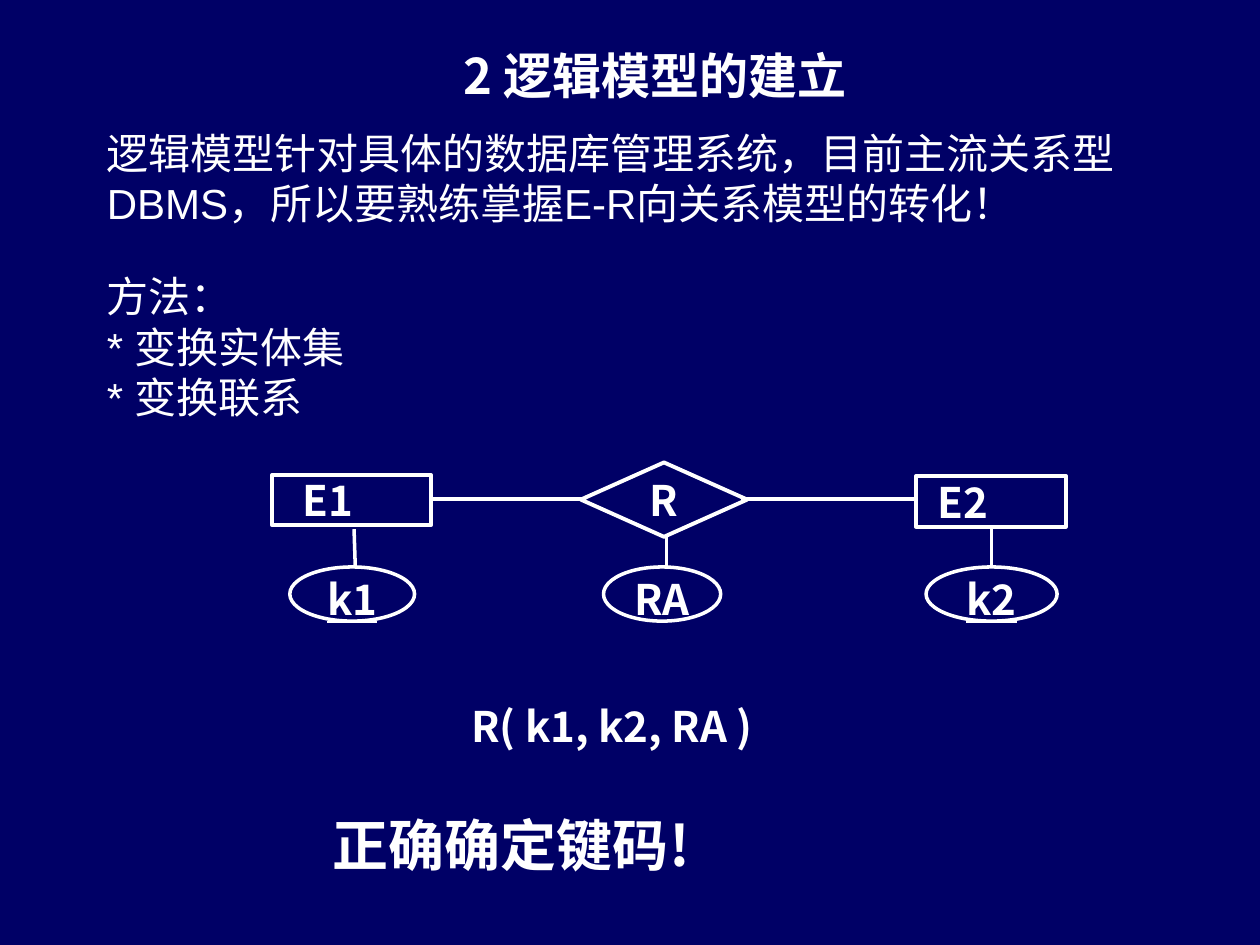
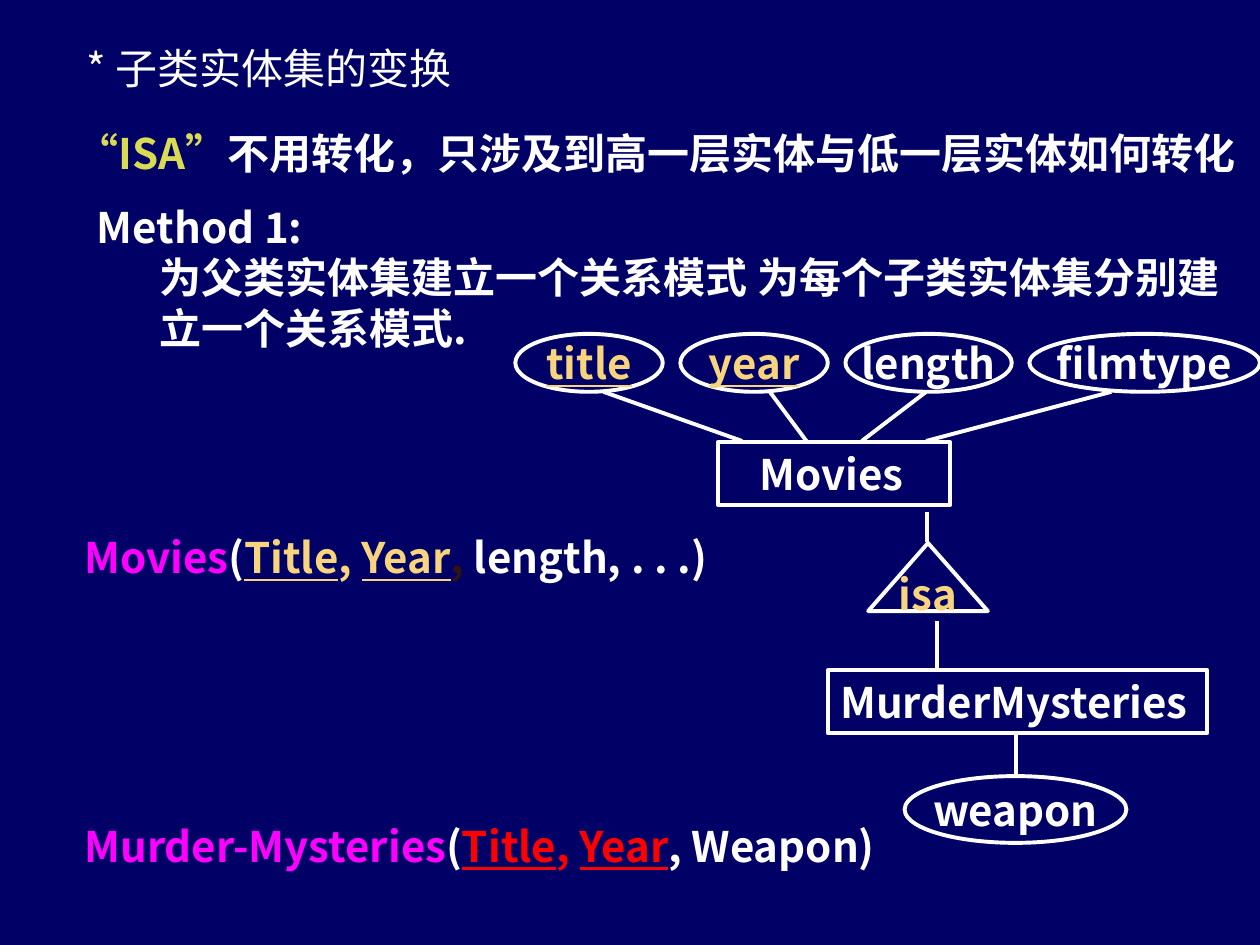
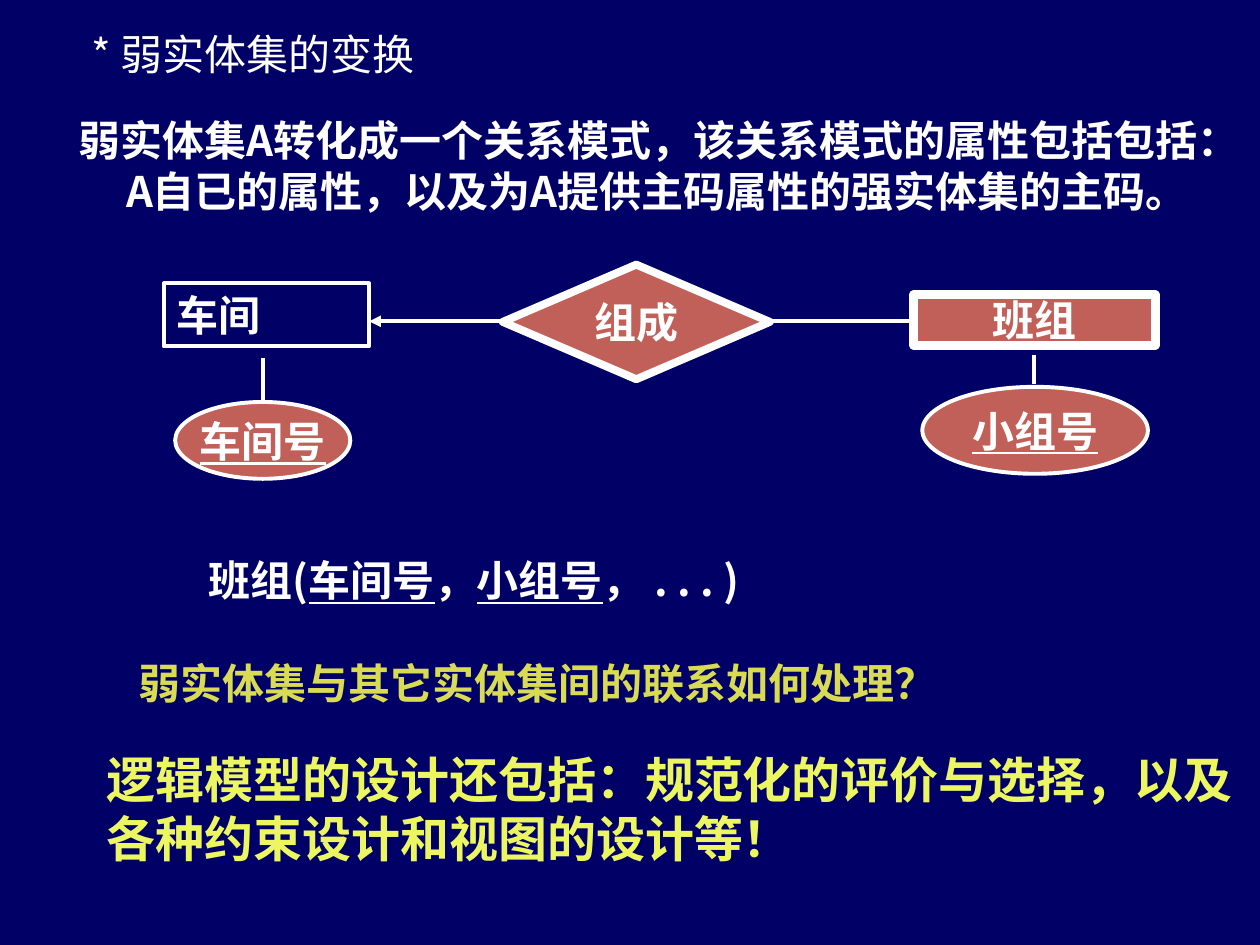
from lxml import etree
from pptx import Presentation
from pptx.dml.color import RGBColor
from pptx.enum.shapes import MSO_CONNECTOR, MSO_SHAPE
from pptx.enum.text import MSO_ANCHOR, PP_ALIGN
from pptx.oxml.ns import qn
from pptx.util import Inches, Pt

NAVY = RGBColor(0x00, 0x00, 0x66)
WHITE = RGBColor(0xFF, 0xFF, 0xFF)
OLIVE = RGBColor(0xD9, 0xDC, 0x52)
LEMON = RGBColor(0xEB, 0xF6, 0x60)
SAND = RGBColor(0xF7, 0xD4, 0x7D)
MAGENTA = RGBColor(0xFF, 0x00, 0xFF)
RED = RGBColor(0xFF, 0x00, 0x00)
BROWN = RGBColor(0x2F, 0x13, 0x11)
BRICK = RGBColor(0xC1, 0x60, 0x59)

RECT, OVAL = MSO_SHAPE.RECTANGLE, MSO_SHAPE.OVAL
DIAMOND, DECISION = MSO_SHAPE.DIAMOND, MSO_SHAPE.FLOWCHART_DECISION
TRIANGLE = MSO_SHAPE.ISOSCELES_TRIANGLE
STRAIGHT = MSO_CONNECTOR.STRAIGHT
LEFT, CENTER = PP_ALIGN.LEFT, PP_ALIGN.CENTER
TOP, MIDDLE = MSO_ANCHOR.TOP, MSO_ANCHOR.MIDDLE

CJK_FONT = "Noto Sans CJK SC"
LATIN_FONT = "Arial"
BODY_SIZE, LINE_WIDTH = 24, 2.25
PADDING = (0.1, 0.05)
FLUSH = (0, 0)
HANGING = (0.38, -0.38)

PLAIN = dict(bold=False, font=LATIN_FONT)
HEADING = dict(bold=False)
KEY = dict(underline=True)
SAND_KEY = dict(color=SAND, underline=True)
RED_KEY = dict(color=RED, underline=True)
ATTRIBUTE = dict(width=2, spacing=1.2)

# texts: (box, paragraphs, options); a paragraph is a string or a list of (text, style) runs
# nodes: (shape, label, box, options); left is the label's indent, without it the label is centred
# links: (start, end, options)
SLIDES = [
    dict(
        texts=[
            ((1.93, 0.36, 6.54, 0.47), ["2 逻辑模型的建立"],
             dict(size=28, align=CENTER, anchor=MIDDLE, inset=FLUSH)),
            ((0.75, 0.96, 9.1, 0.9),
             ["逻辑模型针对具体的数据库管理系统，目前主流关系型DBMS，所以要熟练掌握E-R向关系模型的转化！"],
             dict(style=PLAIN)),
            ((0.75, 2.1, 9.1, 1.3), ["方法：", "* 变换实体集", "* 变换联系"], dict(style=PLAIN)),
            ((3.74, 5.48, 3.96, 0.48), ["R( k1, k2, RA )"], dict(inset=FLUSH, spacing=1.2)),
            ((2.64, 6.43, 5.67, 0.53), ["正确确定键码!"], dict(size=32, inset=FLUSH)),
        ],
        nodes=[
            (RECT, "E1", (2.16, 3.77, 1.26, 0.4), dict(left=0.24)),
            (RECT, "E2", (7.27, 3.78, 1.19, 0.4), dict(left=0.17)),
            (DIAMOND, "R", (4.61, 3.67, 1.32, 0.59), {}),
            (OVAL, "k1", (2.3, 4.5, 0.99, 0.43), dict(style=KEY, **ATTRIBUTE)),
            (OVAL, "k2", (7.35, 4.5, 1.04, 0.43), dict(style=KEY, **ATTRIBUTE)),
            (OVAL, "RA", (4.79, 4.5, 0.93, 0.43), ATTRIBUTE),
        ],
        links=[
            ((5.88, 3.96), (7.27, 3.96), {}),
            ((4.62, 3.96), (3.42, 3.96), {}),
            ((5.29, 4.25), (5.29, 4.5), dict(width=2)),
            ((2.82, 4.5), (2.81, 4.2), dict(width=2)),
            ((7.87, 4.19), (7.87, 4.5), dict(width=2)),
        ],
    ),
    dict(
        texts=[
            ((0.59, 0.29, 5, 0.5), ["* 子类实体集的变换"], dict(style=HEADING)),
            ((0.46, 0.96, 9.5, 0.59),
             [[("“ISA”", dict(color=OLIVE)),
               ("不用转化，只涉及到高一层实体与低一层实体如何转化", {})]],
             dict(align=CENTER, indents=[HANGING])),
            ((0.67, 1.55, 9.25, 1.3),
             ["Method 1:", "为父类实体集建立一个关系模式 为每个子类实体集分别建立一个关系模式."],
             dict(indents=[(0, 0), (0.5, 0)])),
            ((0.67, 4.22, 6.38, 0.4),
             [[("Movies", dict(color=MAGENTA)), ("(", {}), ("Title", SAND_KEY),
               (", ", dict(color=SAND)), ("Year", SAND_KEY), (", ", dict(color=BROWN)),
               ("length, . . .)", {})]],
             dict(inset=FLUSH)),
            ((0.67, 6.51, 6.38, 0.4),
             [[("Murder-Mysteries", dict(color=MAGENTA)), ("(", {}), ("Title", RED_KEY),
               (", ", dict(color=RED)), ("Year", RED_KEY), (", Weapon)", {})]],
             dict(inset=FLUSH)),
        ],
        nodes=[
            (RECT, "Movies", (5.7, 3.51, 1.84, 0.5), dict(left=0.33)),
            (OVAL, "title", (4.09, 2.65, 1.17, 0.46), dict(style=SAND_KEY)),
            (OVAL, "year", (5.4, 2.65, 1.17, 0.46), dict(style=SAND_KEY)),
            (OVAL, "length", (6.71, 2.65, 1.32, 0.46), {}),
            (OVAL, "filmtype", (8.17, 2.65, 1.83, 0.46), {}),
            (RECT, "MurderMysteries", (6.57, 5.32, 3.01, 0.5), dict(left=0.1)),
            (OVAL, "weapon", (7.18, 6.16, 1.76, 0.53), {}),
            (TRIANGLE, "isa", (6.89, 4.31, 0.95, 0.54),
             dict(style=dict(color=SAND), inset=PADDING)),
        ],
        links=[
            ((6.11, 3.11), (6.4, 3.5), {}),
            ((7.35, 3.11), (6.84, 3.5), {}),
            ((4.79, 3.11), (5.89, 3.5), {}),
            ((8.82, 3.11), (7.35, 3.5), {}),
            ((8.06, 5.82), (8.06, 6.15), {}),
            ((7.44, 4.93), (7.44, 5.32), {}),
            ((7.36, 4.06), (7.36, 4.3), {}),
        ],
    ),
    dict(
        texts=[
            ((0.63, 0.18, 3.11, 0.5), ["* 弱实体集的变换"], dict(style=HEADING, wrap=False)),
            ((0.62, 0.91, 9.38, 0.8),
             ["弱实体集A转化成一个关系模式，该关系模式的属性包括包括："
              "A自已的属性，以及为A提供主码属性的强实体集的主码。"],
             dict(inset=FLUSH, indents=[HANGING])),
            ((1.44, 4.35, 4.65, 0.5),
             [[("班组(", {}), ("车间号", KEY), ("，", {}), ("小组号", KEY), ("， . . . )", {})]],
             dict(align=CENTER, wrap=False)),
            ((1, 5.17, 6.53, 0.5), ["弱实体集与其它实体集间的联系如何处理？"],
             dict(style=dict(color=OLIVE), align=CENTER, wrap=False)),
            ((0.75, 5.9, 9.25, 1.04),
             ["逻辑模型的设计还包括：规范化的评价与选择，以及各种约束设计和视图的设计等！"],
             dict(style=dict(color=LEMON), size=28)),
        ],
        nodes=[
            (RECT, "车间", (1.3, 2.25, 1.63, 0.5), dict(left=0.1)),
            (OVAL, "车间号", (1.39, 3.19, 1.39, 0.61), dict(fill=BRICK, style=KEY)),
            (OVAL, "小组号", (7.32, 3.07, 1.79, 0.69), dict(fill=BRICK, style=KEY)),
            (DECISION, "组成", (3.99, 2.1, 2.12, 0.91), dict(fill=BRICK, width=4.5)),
            (RECT, "班组", (7.25, 2.34, 1.92, 0.4), dict(fill=BRICK, width=5)),
        ],
        links=[
            ((2.09, 2.84), (2.09, 3.19), {}),
            ((8.21, 2.82), (8.21, 3.05), {}),
            ((4.07, 2.55), (2.93, 2.55), dict(arrow=True)),
            ((6.03, 2.55), (7.25, 2.55), {}),
        ],
    ),
]


def style_run(run, size, color=WHITE, bold=True, underline=False, font=CJK_FONT):
    run.font.size = Pt(size)
    run.font.bold = bold
    run.font.underline = underline
    run.font.color.rgb = color
    run.font.name = font
    east_asian = etree.Element(qn("a:ea"), typeface=CJK_FONT)
    run.font._element.find(qn("a:latin")).addnext(east_asian)


def write(frame, paragraphs, style=None, size=BODY_SIZE, align=LEFT, anchor=TOP,
          inset=PADDING, wrap=True, spacing=None, indents=()):
    """Fill a text frame; style applies to every paragraph given as a string."""
    frame.word_wrap = wrap
    frame.vertical_anchor = anchor
    frame.margin_left = frame.margin_right = Inches(inset[0])
    frame.margin_top = frame.margin_bottom = Inches(inset[1])
    for number, content in enumerate(paragraphs):
        paragraph = frame.paragraphs[0] if number == 0 else frame.add_paragraph()
        paragraph.alignment = align
        if spacing:
            paragraph.line_spacing = spacing
        if indents:
            margin, first_line = indents[number]
            properties = paragraph._p.get_or_add_pPr()
            properties.set("marL", str(Inches(margin)))
            properties.set("indent", str(Inches(first_line)))
        runs = [(content, style or {})] if isinstance(content, str) else content
        for text, run_style in runs:
            run = paragraph.add_run()
            run.text = text
            style_run(run, size, **run_style)


def add_node(slide, kind, label, box, left=None, fill=None, width=LINE_WIDTH,
             inset=FLUSH, **text_options):
    node = slide.shapes.add_shape(kind, *map(Inches, box))
    node.shadow.inherit = False
    if fill is None:
        node.fill.background()
    else:
        node.fill.solid()
        node.fill.fore_color.rgb = fill
    node.line.color.rgb = WHITE
    node.line.width = Pt(width)
    write(node.text_frame, [label], align=CENTER if left is None else LEFT,
          anchor=MIDDLE, inset=inset, wrap=kind == RECT, **text_options)
    if left is not None:
        node.text_frame.margin_left = Inches(left)


def add_link(slide, start, end, width=LINE_WIDTH, arrow=False):
    link = slide.shapes.add_connector(STRAIGHT, *map(Inches, start + end))
    link.line.color.rgb = WHITE
    link.line.width = Pt(width)
    if arrow:
        etree.SubElement(link.line._get_or_add_ln(), qn("a:tailEnd"), type="triangle")
    etree.SubElement(link._element.spPr, qn("a:effectLst"))


def main():
    prs = Presentation()
    prs.slide_width, prs.slide_height = Inches(10), Inches(7.5)
    background = prs.slide_master.background.fill
    background.solid()
    background.fore_color.rgb = NAVY
    blank = prs.slide_layouts[6]
    for content in SLIDES:
        slide = prs.slides.add_slide(blank)
        for box, paragraphs, options in content["texts"]:
            text_box = slide.shapes.add_textbox(*map(Inches, box))
            write(text_box.text_frame, paragraphs, **options)
        for kind, label, box, options in content["nodes"]:
            add_node(slide, kind, label, box, **options)
        for start, end, options in content["links"]:
            add_link(slide, start, end, **options)
    prs.save("out.pptx")


if __name__ == "__main__":
    main()
